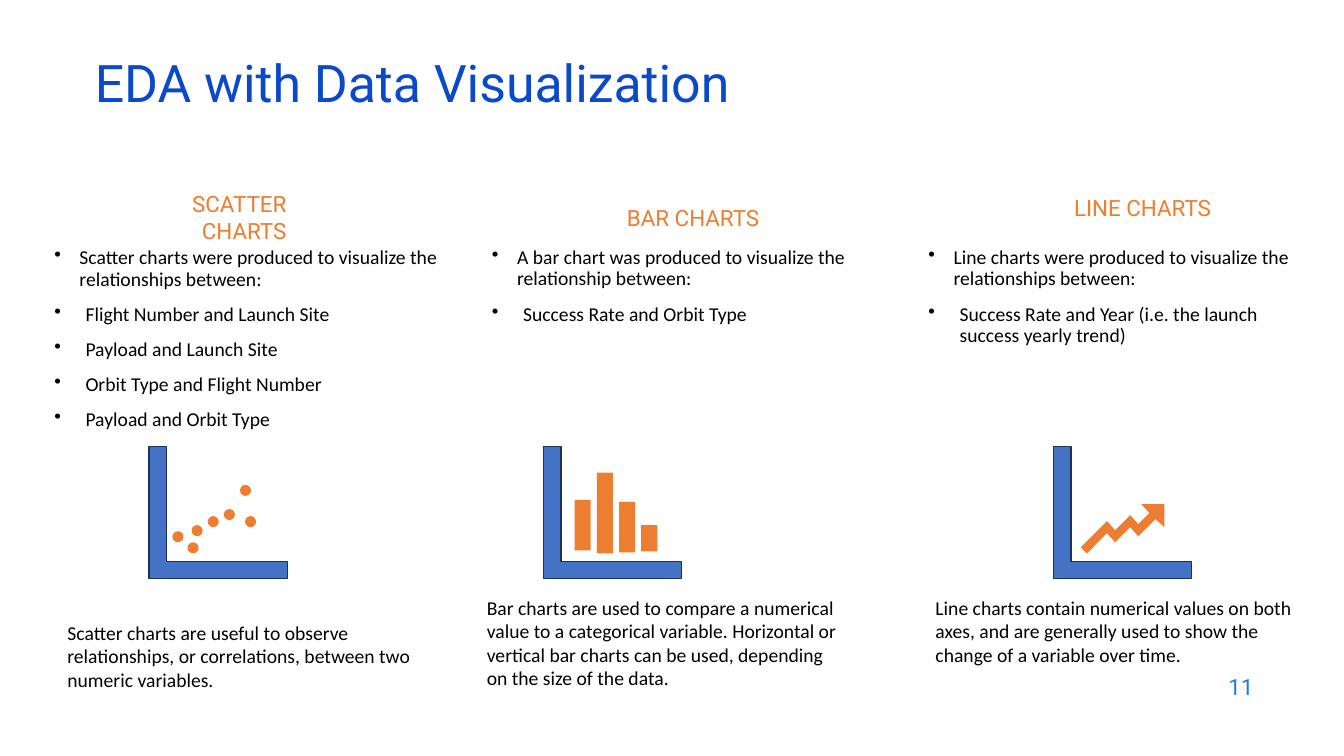
import pptx
import pptx.dml.color
import pptx.enum.shapes
import pptx.enum.text
import pptx.oxml.ns
import pptx.util
from lxml import etree

PX = 9144  # EMU in one px, 100 px to the inch
COLORS = {
    "title": "0B49CB",
    "number": "1C7DDB",
    "accent": "ED7D31",
    "body": "000000",
    "axes": "4472C4",
    "axes_line": "1E3256",
}
ALIGN = pptx.enum.text.PP_ALIGN
ANCHOR = pptx.enum.text.MSO_ANCHOR
AUTO_SIZE = pptx.enum.text.MSO_AUTO_SIZE
SHAPE = pptx.enum.shapes.MSO_SHAPE


def color(name):
    return pptx.dml.color.RGBColor.from_string(COLORS[name])


class SlideBuilder:
    heading_font = "Roboto"
    body_font = "Calibri"
    body_size = 14
    heading_size = 16
    title_size = 37

    def __init__(self, slide):
        self.slide = slide

    def style(self, paragraph, font, size, color_name):
        paragraph.font.name = font
        paragraph.font.size = pptx.util.Pt(size)
        paragraph.font.color.rgb = color(color_name)

    def text_frame(self, left, top, width, height):
        box = self.slide.shapes.add_textbox(left * PX, top * PX, width * PX, height * PX)
        box.text_frame.word_wrap = True
        return box.text_frame

    def title(self, text, left, top, width, height):
        title = self.slide.shapes.title
        title.left, title.top = left * PX, top * PX
        title.width, title.height = width * PX, height * PX
        frame = title.text_frame
        frame.text = text
        frame.auto_size = AUTO_SIZE.NONE
        frame.vertical_anchor = ANCHOR.MIDDLE
        paragraph = frame.paragraphs[0]
        paragraph.alignment = ALIGN.LEFT
        paragraph.line_spacing = 0.7
        self.style(paragraph, self.heading_font, self.title_size, "title")

    def label(self, text, left, top, width, height, color_name):
        """Add right-aligned text centred vertically in its box."""
        frame = self.text_frame(left, top, width, height)
        frame.text = text
        frame.vertical_anchor = ANCHOR.MIDDLE
        paragraph = frame.paragraphs[0]
        paragraph.alignment = ALIGN.RIGHT
        self.style(paragraph, self.heading_font, self.heading_size, color_name)

    def bullets(self, items, left, top, width, height):
        """Add a bulleted list whose first item introduces the others."""
        frame = self.text_frame(left, top, width, height)
        frame.text = "\n".join(items)
        for index, paragraph in enumerate(frame.paragraphs):
            indent = (31 if index else 25) * PX
            properties = paragraph._p.get_or_add_pPr()
            properties.set("marL", str(indent))
            properties.set("indent", str(-indent))
            bullet = etree.SubElement(properties, pptx.oxml.ns.qn("a:buChar"))
            bullet.set("char", "•")
            paragraph.line_spacing = 0.9
            paragraph.space_before = pptx.util.Pt(10)
            self.style(paragraph, self.body_font, self.body_size, "body")

    def description(self, text, left, top, width, height):
        frame = self.text_frame(left, top, width, height)
        frame.text = text
        frame.auto_size = AUTO_SIZE.SHAPE_TO_FIT_TEXT
        self.style(frame.paragraphs[0], self.body_font, self.body_size, "body")

    def paint(self, shape, fill):
        shape.shadow.inherit = False
        shape.fill.solid()
        shape.fill.fore_color.rgb = color(fill)
        shape.line.fill.background()

    def shape(self, kind, left, top, width, height, fill="accent"):
        shape = self.slide.shapes.add_shape(
            kind, left * PX, top * PX, width * PX, height * PX)
        self.paint(shape, fill)
        return shape

    def axes(self, left):
        corner = self.shape(SHAPE.CORNER, left, 443, 137, 131, "axes")
        corner.adjustments[0] = 0.128
        corner.adjustments[1] = 0.133
        corner.line.color.rgb = color("axes_line")
        corner.line.width = pptx.util.Pt(1)

    def polygon(self, points):
        builder = self.slide.shapes.build_freeform(*points[0], scale=PX)
        builder.add_line_segments(points[1:], close=True)
        self.paint(builder.convert_to_shape(), "accent")


# Each box is left, top, width, height.
COLUMNS = [
    {
        "heading": ("SCATTER CHARTS", 101, 162),
        "bullets": [
            "Scatter charts were produced to visualize the relationships between:",
            "Flight Number and Launch Site",
            "Payload and Launch Site",
            "Orbit Type and Flight Number",
            "Payload and Orbit Type",
        ],
        "bullets_box": (44, 241, 404, 445),
        "description": "Scatter charts are useful to observe relationships, "
                       "or correlations, between two numeric variables.",
        "description_box": (57, 611, 378, 81),
        "axes_left": 148,
    },
    {
        "heading": ("BAR CHARTS", 570, 162),
        "bullets": [
            "A bar chart was produced to visualize the relationship between:",
            "Success Rate and Orbit Type",
        ],
        "bullets_box": (478, 241, 378, 446),
        "description": "Bar charts are used to compare a numerical value to a "
                       "categorical variable. Horizontal or vertical bar charts "
                       "can be used, depending on the size of the data.",
        "description_box": (473, 586, 378, 104),
        "axes_left": 539,
    },
    {
        "heading": ("LINE CHARTS", 1018, 152),
        "bullets": [
            "Line charts were produced to visualize the relationships between:",
            "Success Rate and Year (i.e. the launch success yearly trend)",
        ],
        "bullets_box": (911, 241, 378, 446),
        "description": "Line charts contain numerical values on both axes, and are "
                       "generally used to show the change of a variable over time.",
        "description_box": (918, 586, 378, 81),
        "axes_left": 1045,
    },
]
SCATTER_DOTS = [(171, 527), (190, 521), (186, 538), (206, 512),
                (222, 505), (243, 512), (238, 481)]
BAR_SPANS = [(496, 50), (469, 80), (498, 50), (521, 26)]  # top, height
TREND_ARROW = [(1132, 500), (1140, 509), (1129, 520), (1121, 511), (1106, 526),
               (1098, 517), (1072, 543), (1078, 549), (1098, 529), (1106, 538),
               (1121, 523), (1129, 532), (1146, 515), (1155, 523), (1155, 500)]


def main():
    presentation = pptx.Presentation()
    presentation.slide_width = 1333 * PX
    presentation.slide_height = 750 * PX
    title_only = presentation.slide_layouts[5]
    builder = SlideBuilder(presentation.slides.add_slide(title_only))

    builder.title("EDA with Data Visualization", 84, 59, 1150, 60)
    builder.label("11", 953, 659, 300, 44, "number")
    for column in COLUMNS:
        builder.label(*column["heading"], 193, 107, "accent")
        builder.bullets(column["bullets"], *column["bullets_box"])
        builder.description(column["description"], *column["description_box"])
        builder.axes(column["axes_left"])

    for left, top in SCATTER_DOTS:
        builder.shape(SHAPE.OVAL, left, top, 11, 11)
    for index, (top, height) in enumerate(BAR_SPANS):
        builder.shape(SHAPE.RECTANGLE, 570 + 22 * index, top, 16, height)
    builder.polygon(TREND_ARROW)

    presentation.save("out.pptx")


if __name__ == "__main__":
    main()
